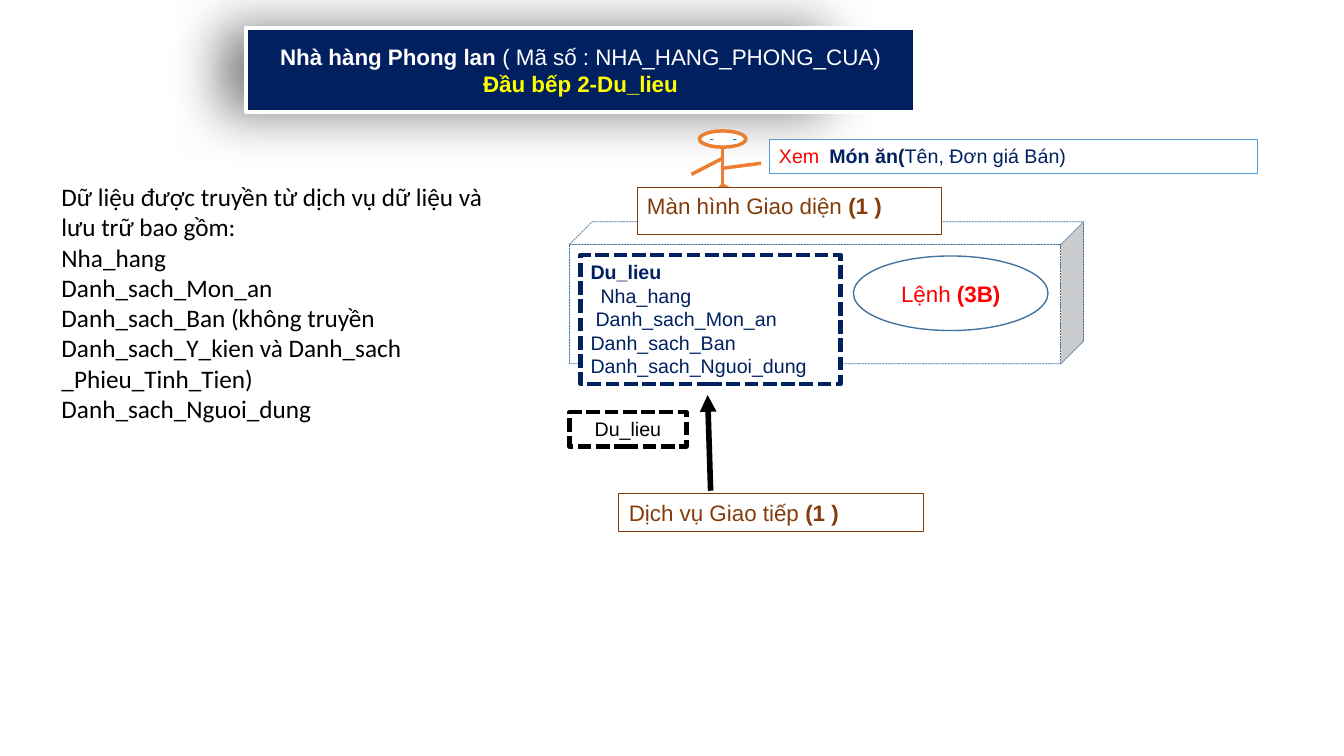
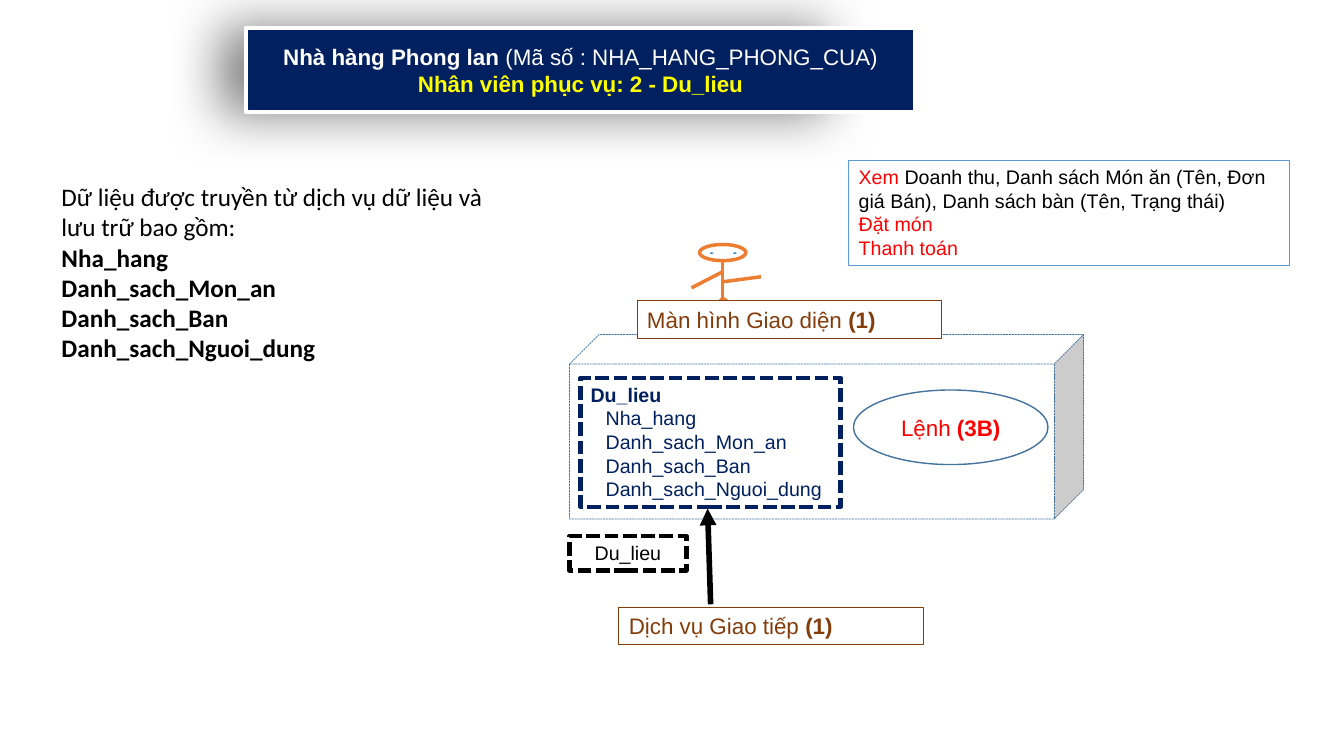
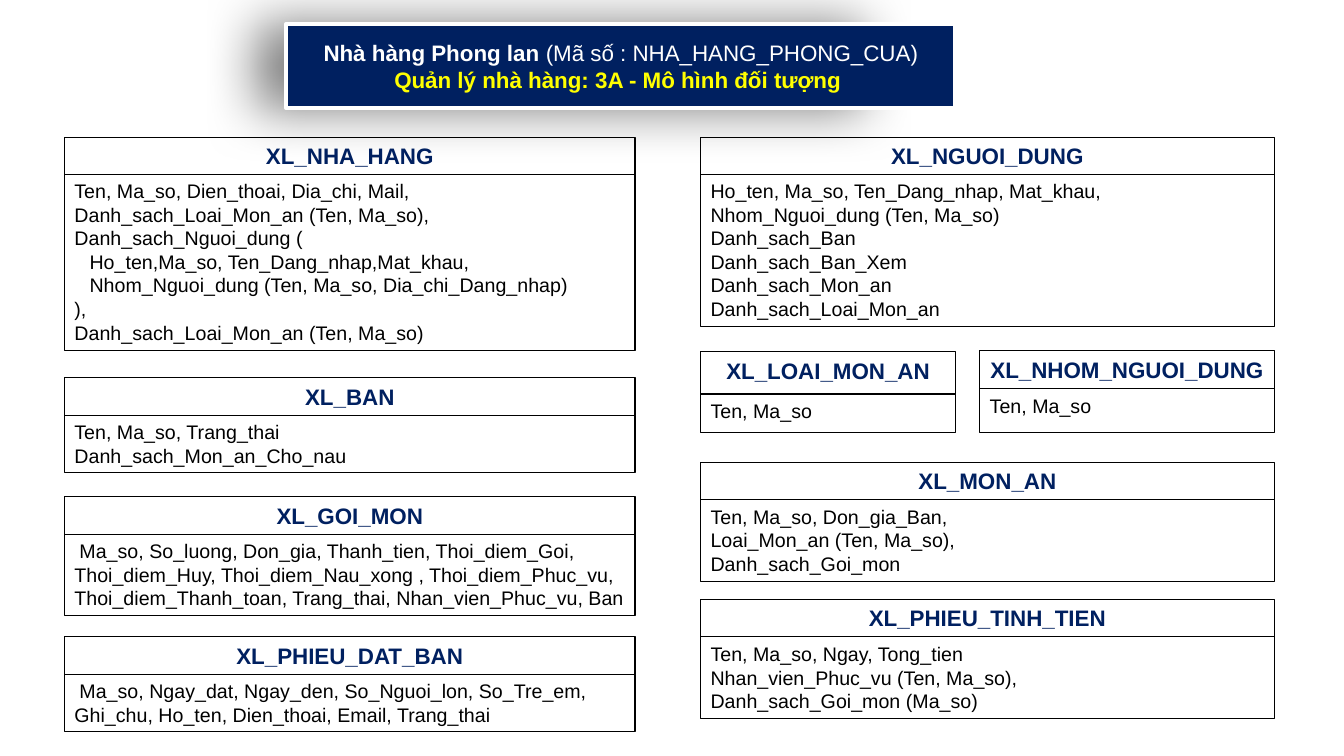
from lxml import etree
from pptx import Presentation
from pptx.dml.color import RGBColor
from pptx.enum.dml import MSO_LINE
from pptx.enum.shapes import MSO_CONNECTOR, MSO_SHAPE
from pptx.enum.text import MSO_ANCHOR, MSO_AUTO_SIZE, PP_ALIGN
from pptx.oxml import parse_xml
from pptx.oxml.ns import nsdecls, qn
from pptx.util import Inches, Pt

RECT, OVAL, CUBE = MSO_SHAPE.RECTANGLE, MSO_SHAPE.OVAL, MSO_SHAPE.CUBE
STRAIGHT = MSO_CONNECTOR.STRAIGHT
DASH = MSO_LINE.SQUARE_DOT
LEFT, CENTER = PP_ALIGN.LEFT, PP_ALIGN.CENTER
TOP, MIDDLE = MSO_ANCHOR.TOP, MSO_ANCHOR.MIDDLE
NO_FIT = MSO_AUTO_SIZE.NONE

NAVY, WHITE, BLACK, RED, YELLOW = "002060", "FFFFFF", "000000", "FF0000", "FFFF00"
BROWN, ORANGE, STEEL, SKY, EYE = "843C0B", "ED7D31", "43739E", "5B9BD5", "0070C0"
rgb = RGBColor.from_string

deck = Presentation()
deck.slide_width, deck.slide_height = Inches(13.33), Inches(7.5)
CELL = deck.slide_width / 40
SPACE = Inches(0.05)
TAB_STOP = Inches(0.57)


def write(shape, lines, size, color, bold=False, align=LEFT, anchor=TOP, font="Arial", indents={}):
    frame = shape.text_frame
    frame.word_wrap, frame.auto_size, frame.vertical_anchor = True, NO_FIT, anchor
    for number, line in enumerate(lines):
        paragraph = frame.add_paragraph() if number else frame.paragraphs[0]
        paragraph.alignment, paragraph.space_before = align, Pt(0)
        properties = paragraph._p.get_or_add_pPr()
        properties.set("marL", "0")
        properties.set("indent", str(indents.get(number, 0) * SPACE))
        etree.SubElement(properties, qn("a:buNone"))
        pieces = [(line, color, bold)] if isinstance(line, str) else line
        if any("\t" in text for text, _, _ in pieces):
            stops = etree.SubElement(properties, qn("a:tabLst"))
            etree.SubElement(stops, qn("a:tab"), pos=str(TAB_STOP), algn="l")
        paragraph.font.name, paragraph.font.size = font, Pt(size)
        for text, piece_color, piece_bold in pieces:
            run = paragraph.add_run()
            run.text = text
            target = paragraph.font if len(pieces) == 1 else run.font
            target.color.rgb, target.bold = rgb(piece_color), piece_bold


def box(slide, kind, x, y, width, height, line, weight, fill=WHITE, dash=None):
    shape = slide.shapes.add_shape(kind, *(round(n * CELL) for n in (x, y, width, height)))
    shape.shadow.inherit = False
    if fill:
        shape.fill.solid()
        shape.fill.fore_color.rgb = rgb(fill)
    else:
        shape.fill.background()
    shape.line.color.rgb, shape.line.width = rgb(line), Pt(weight)
    if dash:
        shape.line.dash_style = dash
    return shape


pages = []
for layout, x, y, code, topic in (
    (1, 7.32, 0.84, "( Mã số : NHA_HANG_PHONG_CUA)", "Đầu bếp 2-Du_lieu"),
    (1, 7.32, 0.84, "(Mã số : NHA_HANG_PHONG_CUA)", "Nhân viên phục vụ: 2 - Du_lieu"),
    (5, 8.52, 0.72, "(Mã số : NHA_HANG_PHONG_CUA)", "Quản lý nhà hàng: 3A - Mô hình đối tượng "),
):
    slide = deck.slides.add_slide(deck.slide_layouts[layout])
    pages.append(slide)
    banner = slide.shapes.title
    banner.left, banner.top, banner.width, banner.height = (round(n * CELL) for n in (x, y, 19.92, 2.49))
    outline = banner._element.spPr
    outline.append(parse_xml(f'<a:prstGeom {nsdecls("a")} prst="roundRect"><a:avLst/></a:prstGeom>'))
    banner.fill.solid()
    banner.fill.fore_color.rgb = rgb(NAVY)
    banner.line.color.rgb, banner.line.width = rgb(WHITE), Pt(3)
    outline.append(parse_xml(
        f'<a:effectLst {nsdecls("a")}><a:outerShdw blurRad="482600" dist="0" dir="5400000" sx="90000" '
        f'algn="ctr" rotWithShape="0"><a:srgbClr val="{BLACK}"><a:alpha val="49000"/></a:srgbClr>'
        '</a:outerShdw></a:effectLst>'))
    write(banner, [[("Nhà hàng Phong lan ", WHITE, True), (code, WHITE, False)], [(topic, YELLOW, True)]],
          16, WHITE, align=CENTER, anchor=MIDDLE)

DATA = ["Nha_hang", "Danh_sach_Mon_an", "Danh_sach_Ban", "Danh_sach_Nguoi_dung"]
INTRO = "Dữ liệu được truyền từ dịch vụ dữ liệu và lưu trữ bao gồm:"
NECK = 21.51

diagrams = [
    dict(shift=0, cube=(6.6, 4.23), command=7.62, store=7.59, indents={1: 2, 2: 1},
         screen=1.41, packet=12.27, count="(1 )", task_at=(22.89, 4.14, 14.55, 1.02),
         tasks=[[("Xem\t", RED, False), ("Món ăn(", NAVY, True), ("Tên, Đơn giá Bán)", NAVY, False)]],
         note=7.56, bold=False,
         received=["Nha_hang", "Danh_sach_Mon_an",
                   "Danh_sach_Ban (không truyền Danh_sach_Y_kien và Danh_sach _Phieu_Tinh_Tien)",
                   "Danh_sach_Nguoi_dung"]),
    dict(shift=3.38, cube=(9.96, 5.49), command=11.61, store=11.25, indents={1: 3, 2: 3, 3: 3, 4: 3},
         screen=1.11, packet=15.96, count="(1)", task_at=(25.26, 4.77, 13.11, 3.12),
         tasks=[[("Xem ", RED, False),
                 ("Doanh thu, Danh sách Món ăn (Tên, Đơn giá Bán), Danh sách bàn (Tên, Trạng thái)", BLACK, False)],
                "Đặt món", "Thanh toán"],
         note=5.76, bold=True, received=DATA),
]

for slide, diagram in zip(pages, diagrams):
    shift = diagram["shift"]
    head = 3.9 + shift

    cube_top, cube_height = diagram["cube"]
    system = box(slide, CUBE, 16.95, cube_top, 15.3, cube_height, STEEL, 0.5, dash=DASH)
    system.adjustments[0] = 0.16
    command = box(slide, OVAL, 25.4, diagram["command"], 5.79, 2.22, STEEL, 1)
    write(command, [[("Lệnh ", RED, False), ("(3B)", RED, True)]], 16, RED, align=CENTER, anchor=MIDDLE)
    store = box(slide, RECT, 17.28, diagram["store"], 7.74, 3.84, NAVY, 3.25, dash=DASH)
    write(store, [[("Du_lieu", NAVY, True)]] + DATA, 14, NAVY, indents=diagram["indents"])

    box(slide, OVAL, NECK - 0.69, head, 1.38, 0.48, ORANGE, 2.5)
    for eye in (NECK - 0.45, NECK + 0.24):
        box(slide, OVAL, eye, head + 0.18, 0.24, 0.15, WHITE, 2.5, fill=EYE)
    for x1, y1, x2, y2, color, weight in (
        (0, 0.48, 0, 1.62, ORANGE, 2.5),
        (0, 0.81, -0.93, 1.29, ORANGE, 2.5),
        (0, 1.6, 0.69, 2.07, ORANGE, 2.5),
        (0, 1.6, -0.45, 2.07, ORANGE, 2.5),
        (0, 1.11, 1.14, 0.96, ORANGE, 2.5),
        (-0.36, 10.71, -0.45, 7.86, BLACK, 4),
    ):
        stroke = slide.shapes.add_connector(
            STRAIGHT, *(round(n * CELL) for n in (NECK + x1, head + y1, NECK + x2, head + y2)))
        stroke.line.color.rgb, stroke.line.width = rgb(color), Pt(weight)
        if color == BLACK:
            etree.SubElement(stroke.line._get_or_add_ln(), qn("a:tailEnd"), type="triangle")
        etree.SubElement(stroke._element.spPr, qn("a:effectLst"))

    for label, x, y, height in (
        ("Màn hình Giao diện ", 18.96, 5.58, diagram["screen"]),
        ("Dịch vụ Giao tiếp ", 18.42, 14.7, 1.11),
    ):
        component = box(slide, RECT, x, y + shift, 9.06, height, BROWN, 0.75)
        write(component, [[(label, BROWN, False), (diagram["count"], BROWN, True)]], 16, BROWN)

    packet = box(slide, RECT, 16.95, diagram["packet"], 3.48, 1.02, BLACK, 3.25, dash=DASH)
    write(packet, ["Du_lieu"], 14, BLACK, align=CENTER)
    tasks = box(slide, RECT, *diagram["task_at"], SKY, 0.75)
    write(tasks, diagram["tasks"], 14, RED)

    note = slide.placeholders[1]
    note.left, note.top, note.width, note.height = (
        round(n * CELL) for n in (1.53, 5.25, 13.59, diagram["note"]))
    received = [[(name, BLACK, diagram["bold"])] for name in diagram["received"]]
    write(note, [INTRO] + received, 18, BLACK, font="Calibri")

LEFT_COLUMN, RIGHT_COLUMN = (1.92, 16.98), (20.85, 17.07)
classes = [
    (LEFT_COLUMN, 4.08, 1.11, 5.25, "XL_NHA_HANG",
     ["Ten, Ma_so, Dien_thoai, Dia_chi, Mail,", "Danh_sach_Loai_Mon_an (Ten, Ma_so),",
      "Danh_sach_Nguoi_dung (", "Ho_ten,Ma_so, Ten_Dang_nhap,Mat_khau,",
      "Nhom_Nguoi_dung (Ten, Ma_so, Dia_chi_Dang_nhap)", "),",
      "Danh_sach_Loai_Mon_an (Ten, Ma_so)"], {3: 3, 4: 3}),
    (LEFT_COLUMN, 11.25, 1.11, 1.71, "XL_BAN",
     ["Ten, Ma_so, Trang_thai", "Danh_sach_Mon_an_Cho_nau"], {}),
    (LEFT_COLUMN, 14.79, 1.11, 2.43, "XL_GOI_MON",
     ["Ma_so, So_luong, Don_gia, Thanh_tien, Thoi_diem_Goi, Thoi_diem_Huy, Thoi_diem_Nau_xong , "
      "Thoi_diem_Phuc_vu, Thoi_diem_Thanh_toan, Trang_thai, Nhan_vien_Phuc_vu, Ban"], {0: 1}),
    (LEFT_COLUMN, 18.96, 1.11, 1.71, "XL_PHIEU_DAT_BAN",
     ["Ma_so, Ngay_dat, Ngay_den, So_Nguoi_lon, So_Tre_em,",
      "Ghi_chu, Ho_ten, Dien_thoai, Email, Trang_thai"], {0: 1}),
    (RIGHT_COLUMN, 4.08, 1.11, 4.53, "XL_NGUOI_DUNG",
     ["Ho_ten, Ma_so, Ten_Dang_nhap, Mat_khau, Nhom_Nguoi_dung (Ten, Ma_so)", "Danh_sach_Ban",
      "Danh_sach_Ban_Xem", "Danh_sach_Mon_an", "Danh_sach_Loai_Mon_an"], {}),
    ((20.85, 7.59), 10.47, 1.26, 1.14, "XL_LOAI_MON_AN", ["Ten, Ma_so"], {}),
    ((29.16, 8.76), 10.44, 1.14, 1.29, "XL_NHOM_NGUOI_DUNG", ["Ten, Ma_so"], {}),
    (RIGHT_COLUMN, 13.77, 1.11, 2.43, "XL_MON_AN",
     ["Ten, Ma_so, Don_gia_Ban,", "Loai_Mon_an (Ten, Ma_so),", "Danh_sach_Goi_mon"], {}),
    (RIGHT_COLUMN, 17.85, 1.11, 2.43, "XL_PHIEU_TINH_TIEN",
     ["Ten, Ma_so, Ngay, Tong_tien", "Nhan_vien_Phuc_vu (Ten, Ma_so),", "Danh_sach_Goi_mon (Ma_so)"], {}),
]

for (x, width), y, heading_height, body_height, name, fields, indents in classes:
    heading = box(pages[2], RECT, x, y, width, heading_height, BLACK, 0.75, fill=None)
    heading.text_frame.margin_left = heading.text_frame.margin_right = SPACE
    write(heading, [name], 16, NAVY, bold=True, align=CENTER)
    members = box(pages[2], RECT, x, y + heading_height, width, body_height, BLACK, 0.75, fill=None)
    write(members, fields, 14, BLACK, indents=indents)

deck.save("out.pptx")
